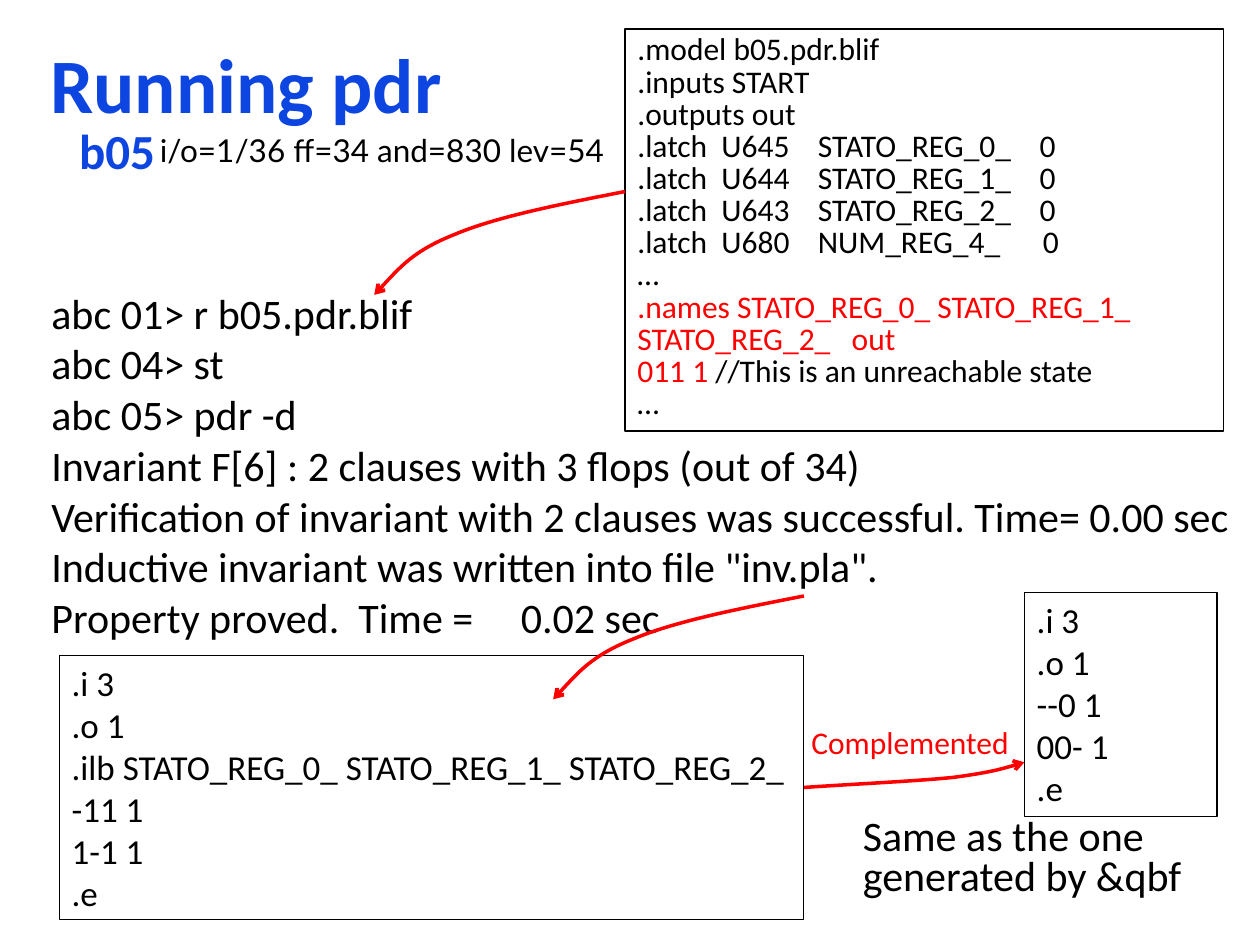
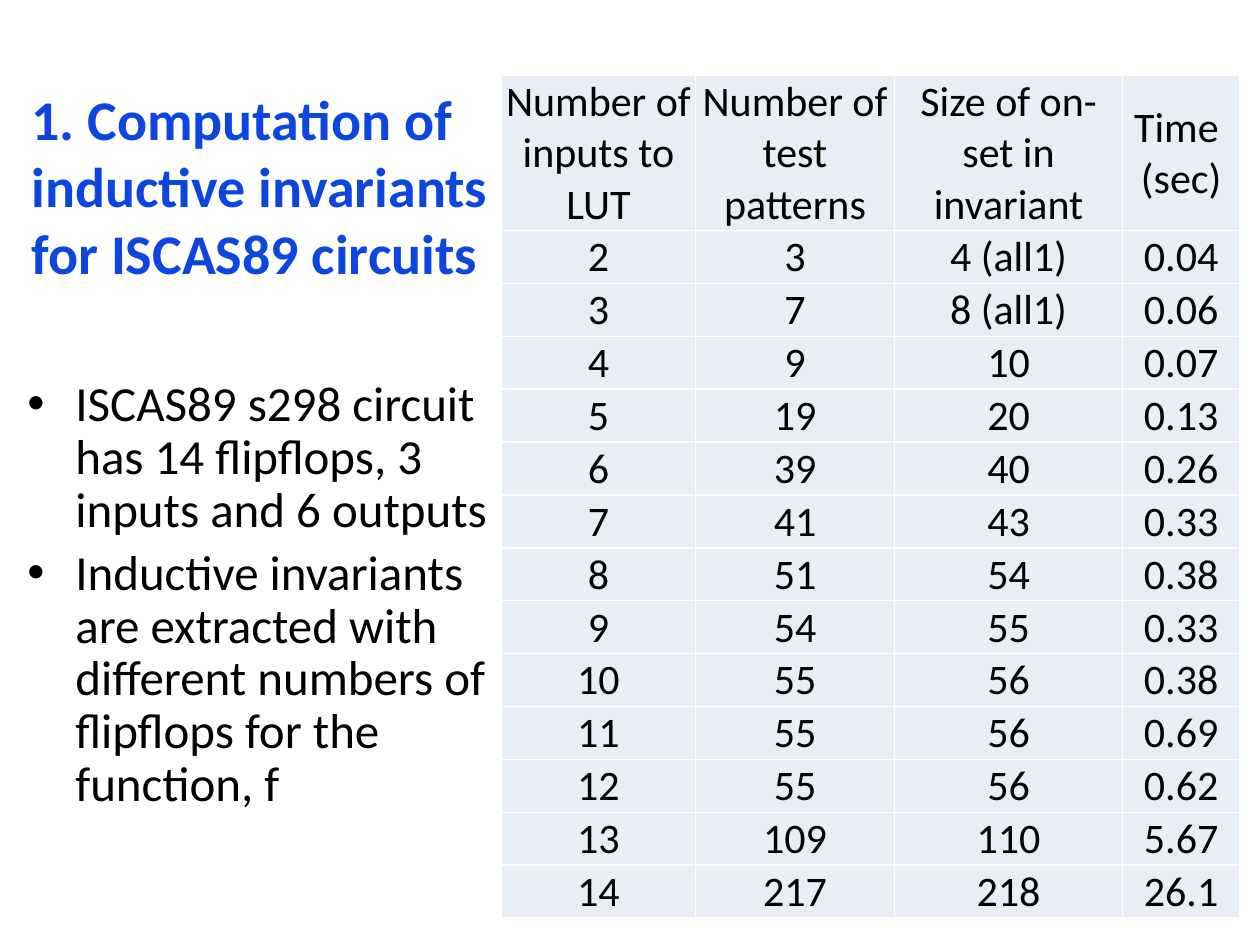
from lxml.etree import SubElement
from pptx import Presentation
from pptx.dml.color import RGBColor
from pptx.enum.shapes import MSO_SHAPE
from pptx.enum.text import MSO_ANCHOR, PP_ALIGN
from pptx.oxml.ns import qn
from pptx.util import Inches, Pt

COLUMN = ROW = Inches(1)  # the slide is 10 columns by 7.5 rows
BLACK, RED, BLUE, WHITE, PALE = "000000", "FF0000", "0D45E1", "FFFFFF", "E9EDF4"
MAIN_FONT, STATS_FONT = "Calibri", "Lato"

MODEL = [
    ".model b05.pdr.blif",
    ".inputs START",
    ".outputs out",
    ".latch  U645    STATO_REG_0_    0",
    ".latch  U644    STATO_REG_1_    0",
    ".latch  U643    STATO_REG_2_    0",
    ".latch  U680    NUM_REG_4_      0",
    "…",
    ".names STATO_REG_0_ STATO_REG_1_ STATO_REG_2_   out",
    "011 1 ",
    "…",
]
SESSION = [
    "abc 01> r b05.pdr.blif",
    "abc 04> st",
    "abc 05> pdr -d",
    "Invariant F[6] : 2 clauses with 3 flops (out of 34)",
    "Verification of invariant with 2 clauses was successful. Time= 0.00 sec",
    "Inductive invariant was written into file \"inv.pla\".",
    "Property proved.  Time =     0.02 sec",
]
INVARIANT = [".i 3", ".o 1", ".ilb STATO_REG_0_ STATO_REG_1_ STATO_REG_2_",
             "-11 1", "1-1 1", ".e"]
COMPLEMENT = [".i 3", ".o 1", "--0 1", "00- 1", ".e"]
FINDINGS = [
    "ISCAS89 s298 circuit has 14 flipflops, 3 inputs and 6 outputs",
    "Inductive invariants are extracted with different numbers of flipflops "
    "for the function, f",
]
RESULTS = [
    ("Number of inputs to LUT", "Number of test patterns",
     "Size of on-set in invariant", "Time \v(sec)"),
    ("2", "3", "4 (all1)", "0.04"),
    ("3", "7", "8 (all1)", "0.06"),
    ("4", "9", "10", "0.07"),
    ("5", "19", "20", "0.13"),
    ("6", "39", "40", "0.26"),
    ("7", "41", "43", "0.33"),
    ("8", "51", "54", "0.38"),
    ("9", "54", "55", "0.33"),
    ("10", "55", "56", "0.38"),
    ("11", "55", "56", "0.69"),
    ("12", "55", "56", "0.62"),
    ("13", "109", "110", "5.67"),
    ("14", "217", "218", "26.1"),
]
# Two joined Bézier curves, as offsets from the arrow's start
SWEEP_LEFT = [(-0.51, 0.1), (-1.02, 0.2), (-1.35, 0.34),
              (-1.68, 0.47), (-1.83, 0.65), (-1.99, 0.82)]
SWEEP_RIGHT = [(0.45, -0.03), (0.89, -0.05), (1.19, -0.08),
               (1.48, -0.12), (1.62, -0.16), (1.75, -0.2)]


def color(hex_code):
    return RGBColor.from_string(hex_code)


def place(columns, rows):
    return int(columns * COLUMN), int(rows * ROW)


def area(left, top, width, height):
    return (*place(left, top), *place(width, height))


def style_runs(paragraph, size, ink=BLACK, bold=False, face=MAIN_FONT):
    for run in paragraph.runs:
        run.font.size = Pt(size)
        run.font.name = face
        run.font.bold = bold
        run.font.color.rgb = color(ink)


def write(frame, lines, size, ink=BLACK, spacing=1.0, gap=0, **look):
    """Fill a text frame with one paragraph a line, gap points apart."""
    frame.text = "\n".join(lines)
    for index, paragraph in enumerate(frame.paragraphs):
        paragraph.alignment = PP_ALIGN.LEFT
        paragraph.line_spacing = spacing
        paragraph.space_before = Pt(gap if index else 0)
        style_runs(paragraph, size, ink, **look)


def add_title(slide, text, bounds, size):
    title = slide.shapes.title
    title.left, title.top, title.width, title.height = area(*bounds)
    title.text_frame.vertical_anchor = MSO_ANCHOR.MIDDLE
    write(title.text_frame, [text], size, BLUE, bold=True)


def add_text(slide, lines, bounds, size, wrap=True, **look):
    frame = slide.shapes.add_textbox(*area(*bounds)).text_frame
    frame.word_wrap = wrap
    write(frame, lines, size, **look)
    return frame


def add_listing(slide, lines, bounds, size, **look):
    """Show the lines of a file in a thin black frame."""
    listing = slide.shapes.add_shape(MSO_SHAPE.RECTANGLE, *area(*bounds))
    listing.shadow.inherit = False
    listing.fill.background()
    listing.line.color.rgb = color(BLACK)
    listing.line.width = Pt(0.75)
    listing.text_frame.word_wrap = True
    listing.text_frame.vertical_anchor = MSO_ANCHOR.TOP
    write(listing.text_frame, lines, size, **look)
    return listing.text_frame


def add_curved_arrow(slide, start, offsets):
    x, y = start
    builder = slide.shapes.build_freeform(*place(x, y))
    builder.add_line_segments([place(x + dx, y + dy) for dx, dy in offsets], close=False)
    arrow = builder.convert_to_shape()
    arrow.shadow.inherit = False
    arrow.fill.background()
    arrow.line.color.rgb = color(RED)
    arrow.line.width = Pt(2)
    properties = arrow.element.spPr
    SubElement(properties.find(qn("a:ln")), qn("a:tailEnd"), type="arrow")

    # Each three straight segments become the points of one cubic curve
    segments = list(properties.iter(qn("a:lnTo")))
    outline = segments[0].getparent()
    for first in range(0, len(segments), 3):
        curve = SubElement(outline, qn("a:cubicBezTo"))
        for segment in segments[first:first + 3]:
            curve.append(segment[0])
            outline.remove(segment)


def add_bullets(frame, indent):
    for paragraph in frame.paragraphs:
        properties = paragraph._p.get_or_add_pPr()
        properties.set("marL", str(indent))
        properties.set("indent", str(-indent))
        SubElement(properties, qn("a:buFont"), typeface="Arial")
        SubElement(properties, qn("a:buChar"), char="•")


def add_borders(cell):
    properties = cell._tc.get_or_add_tcPr()
    for side in ("lnL", "lnR", "lnT", "lnB"):
        border = SubElement(properties, qn(f"a:{side}"), w=str(Pt(1)))
        fill = SubElement(border, qn("a:solidFill"))
        SubElement(fill, qn("a:srgbClr"), val=WHITE)


def add_results_table(slide, results, corner, widths, header_height, row_height):
    heights = [header_height] + [row_height] * (len(results) - 1)
    table = slide.shapes.add_table(
        len(results), len(widths), *area(*corner, sum(widths), sum(heights))).table
    table.first_row = table.horz_banding = False
    for column, width in zip(table.columns, widths):
        column.width = int(width * COLUMN)
    for row, height, values in zip(table.rows, heights, results):
        row.height = int(height * ROW)
        for cell, value in zip(row.cells, values):
            cell.margin_left = cell.margin_right = cell.margin_top = Inches(0.01)
            cell.margin_bottom = 0
            cell.vertical_anchor = MSO_ANCHOR.MIDDLE
            add_borders(cell)
            cell.fill.solid()
            cell.fill.fore_color.rgb = color(PALE)
            cell.text_frame.text = value
            paragraph = cell.text_frame.paragraphs[0]
            paragraph.alignment = PP_ALIGN.CENTER
            style_runs(paragraph, 24)


def build_pdr_slide(slide):
    add_title(slide, "Running pdr", (0.3, 0.16, 8.97, 1), 44)
    add_text(slide, SESSION, (0.31, 2.29, 9.57, 4.99), 24, spacing=0.85, gap=4.5)

    model = add_listing(slide, MODEL, (4.96, 0.23, 4.75, 3.19), 18, spacing=0.85)
    names_line, cube_line = model.paragraphs[8:10]
    for output_line in (names_line, cube_line):
        style_runs(output_line, 18, RED)
    remark = cube_line.add_run()
    remark.text = "//This is an unreachable state"
    remark.font.size = Pt(18)
    remark.font.name = MAIN_FONT
    remark.font.color.rgb = color(BLACK)

    add_listing(slide, INVARIANT, (0.47, 5.2, 5.91, 2.1), 20)
    add_listing(slide, COMPLEMENT, (8.13, 4.7, 1.53, 1.78), 20)
    add_curved_arrow(slide, (4.96, 1.52), SWEEP_LEFT)
    add_curved_arrow(slide, (6.38, 4.73), SWEEP_LEFT)
    add_curved_arrow(slide, (6.38, 6.25), SWEEP_RIGHT)

    add_text(slide, ["b05"], (0.53, 0.91, 0.81, 0.57), 28, wrap=False, ink=BLUE, bold=True)
    add_text(slide, ["i/o=1/36 ff=34 and=830 lev=54"], (1.17, 0.99, 4.06, 0.4), 18,
             face=STATS_FONT)
    add_text(slide, ["Complemented"], (6.34, 5.69, 1.79, 0.4), 18, wrap=False, ink=RED)
    add_text(slide, ["Same as the one generated by &qbf"], (6.75, 6.45, 2.76, 0.75), 24,
             spacing=0.8)


def build_invariants_slide(slide):
    add_title(slide, "1. Computation of inductive invariants for ISCAS89 circuits",
              (0.15, 0.76, 3.83, 1.42), 32)
    findings = add_text(slide, FINDINGS, (0.12, 2.96, 3.86, 4.25), 28, spacing=0.9, gap=5.6)
    add_bullets(findings, int(0.38 * COLUMN))
    add_results_table(slide, RESULTS, (3.98, 0.6), (1.54, 1.58, 1.81, 0.93), 1.23, 0.42)


def main():
    deck = Presentation()
    deck.slide_width, deck.slide_height = place(10, 7.5)
    title_only = deck.slide_layouts[5]
    for build in (build_pdr_slide, build_invariants_slide):
        build(deck.slides.add_slide(title_only))
    deck.save("out.pptx")


if __name__ == "__main__":
    main()
